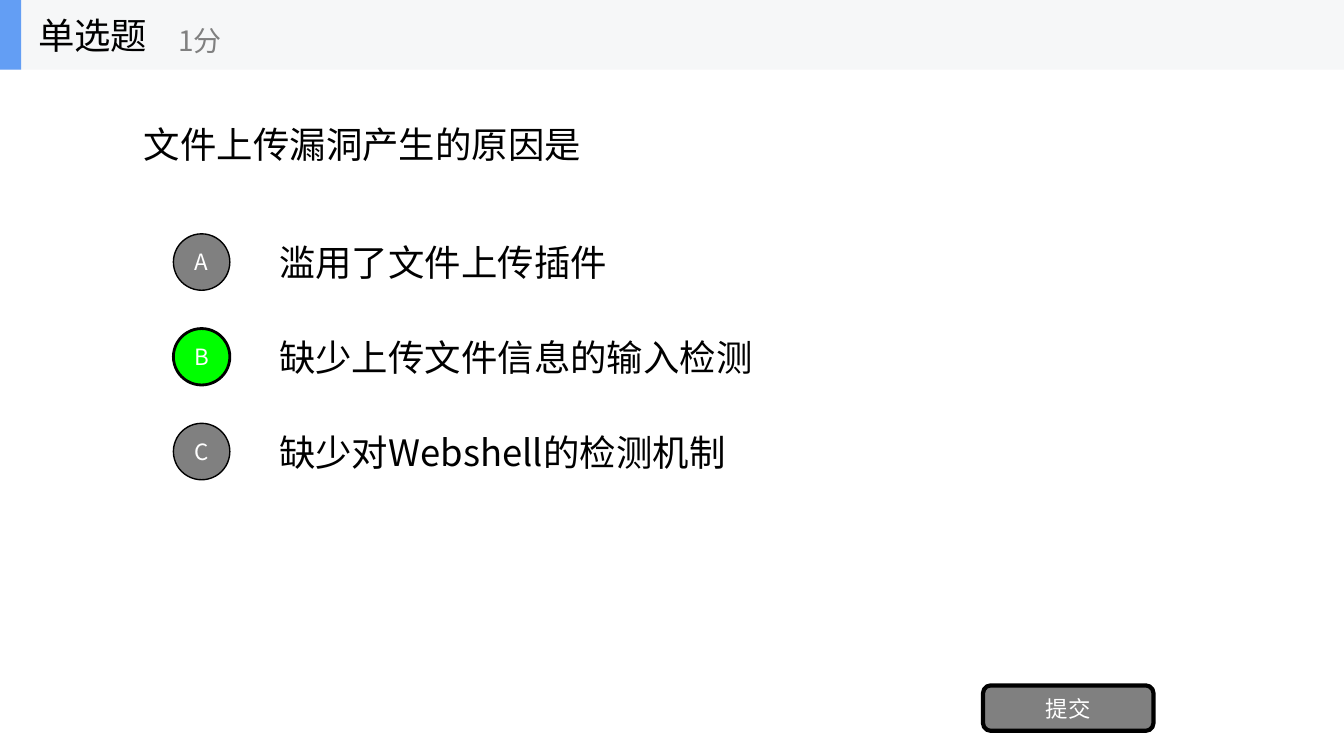
from dataclasses import dataclass

from lxml import etree
from pptx import Presentation
from pptx import util as u
from pptx.dml import color
from pptx.enum import shapes, text
from pptx.oxml import ns


@dataclass(frozen=True)
class Theme:
    font: str = "Noto Sans CJK SC"
    ink: str = "000000"
    paper: str = "FFFFFF"
    muted: str = "808080"
    correct: str = "00FF00"
    accent: str = "639EF4"
    band: str = "F6F7F8"
    body: int = 26
    points: int = 20
    label: int = 16


def rgb(value):
    return color.RGBColor.from_string(value)


class QuizSlide:
    def __init__(self, slide, theme):
        self.slide = slide
        self.theme = theme
        self.target = slide.shapes

    def start_group(self):
        """Place the elements that follow in a new group."""
        self.target = self.slide.shapes.add_group_shape().shapes

    def set_words(self, frame, words, size, ink, align):
        frame.word_wrap = True
        frame.vertical_anchor = text.MSO_ANCHOR.MIDDLE
        frame.text = words
        paragraph = frame.paragraphs[0]
        paragraph.alignment = align
        for run in paragraph.runs:
            run.font.size = u.Pt(size)
            run.font.name = self.theme.font
            run.font.color.rgb = rgb(ink)
            # East Asian characters take their font from a:ea
            properties = run._r.get_or_add_rPr()
            east_asian = etree.SubElement(properties, ns.qn("a:ea"))
            east_asian.set("typeface", self.theme.font)

    def label(self, box, words, size, ink):
        area = self.target.add_textbox(*map(u.Inches, box))
        self.set_words(area.text_frame, words, size, ink, text.PP_ALIGN.LEFT)

    def block(self, preset, box, fill, border=0):
        block = self.target.add_shape(preset, *map(u.Inches, box))
        block.shadow.inherit = False
        block.fill.solid()
        block.fill.fore_color.rgb = rgb(fill)
        if border:
            block.line.color.rgb = rgb(self.theme.ink)
            block.line.width = u.Pt(border)
        else:
            block.line.fill.background()
        return block

    def button(self, preset, box, words, fill, border):
        frame = self.block(preset, box, fill, border).text_frame
        frame.margin_left = frame.margin_right = 0
        frame.margin_top = frame.margin_bottom = 0
        self.set_words(frame, words, self.theme.label, self.theme.paper,
                       text.PP_ALIGN.CENTER)


def main():
    deck = Presentation()
    deck.slide_width, deck.slide_height = u.Inches(13.33), u.Inches(7.5)
    theme = Theme()
    quiz = QuizSlide(deck.slides.add_slide(deck.slide_layouts[6]), theme)
    preset = shapes.MSO_SHAPE

    # Question
    quiz.label((1.33, 0.69, 10.67, 1.48), "文件上传漏洞产生的原因是",
               theme.body, theme.ink)

    # Answers
    answers = ["滥用了文件上传插件", "缺少上传文件信息的输入检测",
               "缺少对Webshell的检测机制"]
    first_top, pitch = 2.25, 0.94
    for row, answer in enumerate(answers):
        quiz.label((2.67, first_top + row * pitch, 9.33, 0.7), answer,
                   theme.body, theme.ink)

    # Option letters, with the correct one highlighted
    for row, letter in enumerate("ABC"):
        fill, border = (theme.correct, 2) if letter == "B" else (theme.muted, 1)
        quiz.button(preset.OVAL,
                    (1.72, first_top + 0.07 + row * pitch, 0.56, 0.56),
                    letter, fill, border)

    # Submit button
    quiz.button(preset.ROUNDED_RECTANGLE, (9.75, 6.8, 1.69, 0.45), "提交",
                theme.muted, 3)

    # Header: band, accent, question type and points
    quiz.start_group()
    header_height = 0.69
    quiz.block(preset.RECTANGLE, (0, 0, 13.33, header_height), theme.band)
    quiz.block(preset.RECTANGLE, (0, 0, 0.21, header_height), theme.accent)
    quiz.label((0.28, 0, 2.08, header_height), "单选题", theme.body, theme.ink)
    quiz.label((1.67, 0.12, 2.5, 0.56), "1分", theme.points, theme.muted)

    deck.save("out.pptx")


if __name__ == "__main__":
    main()
